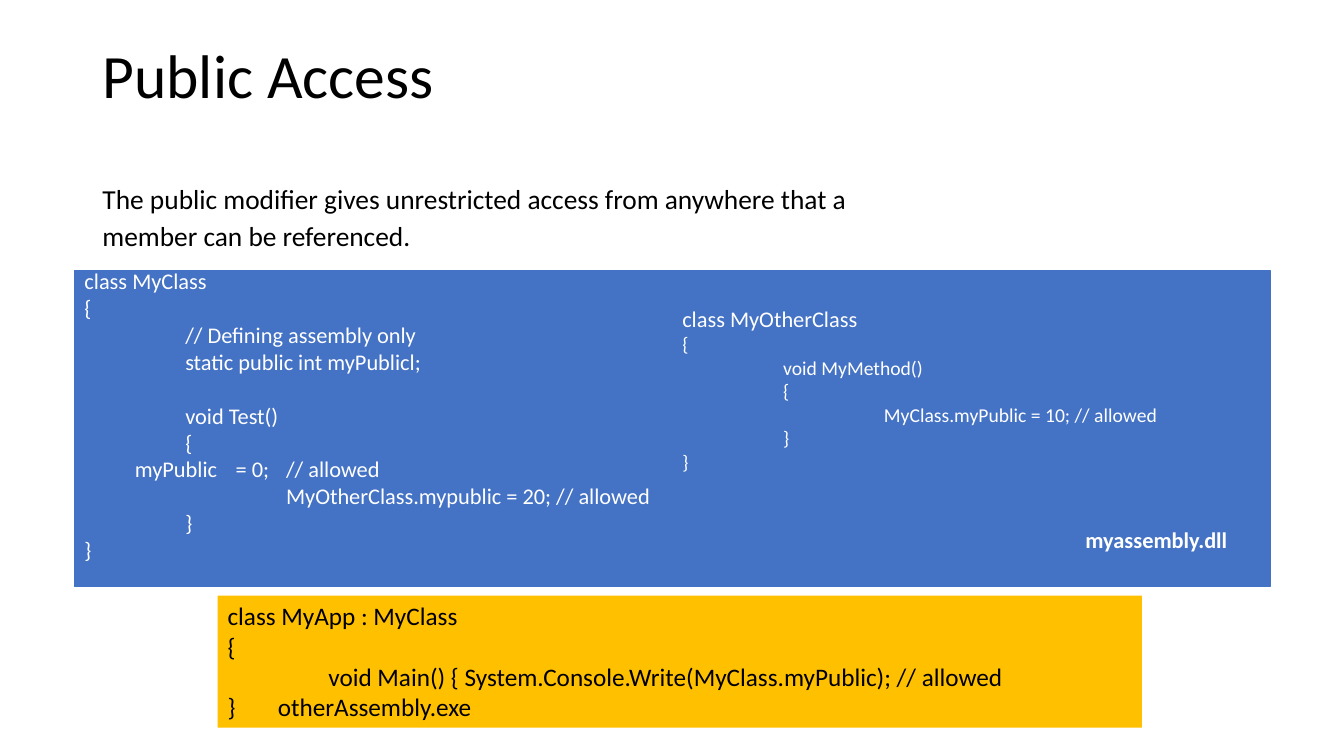
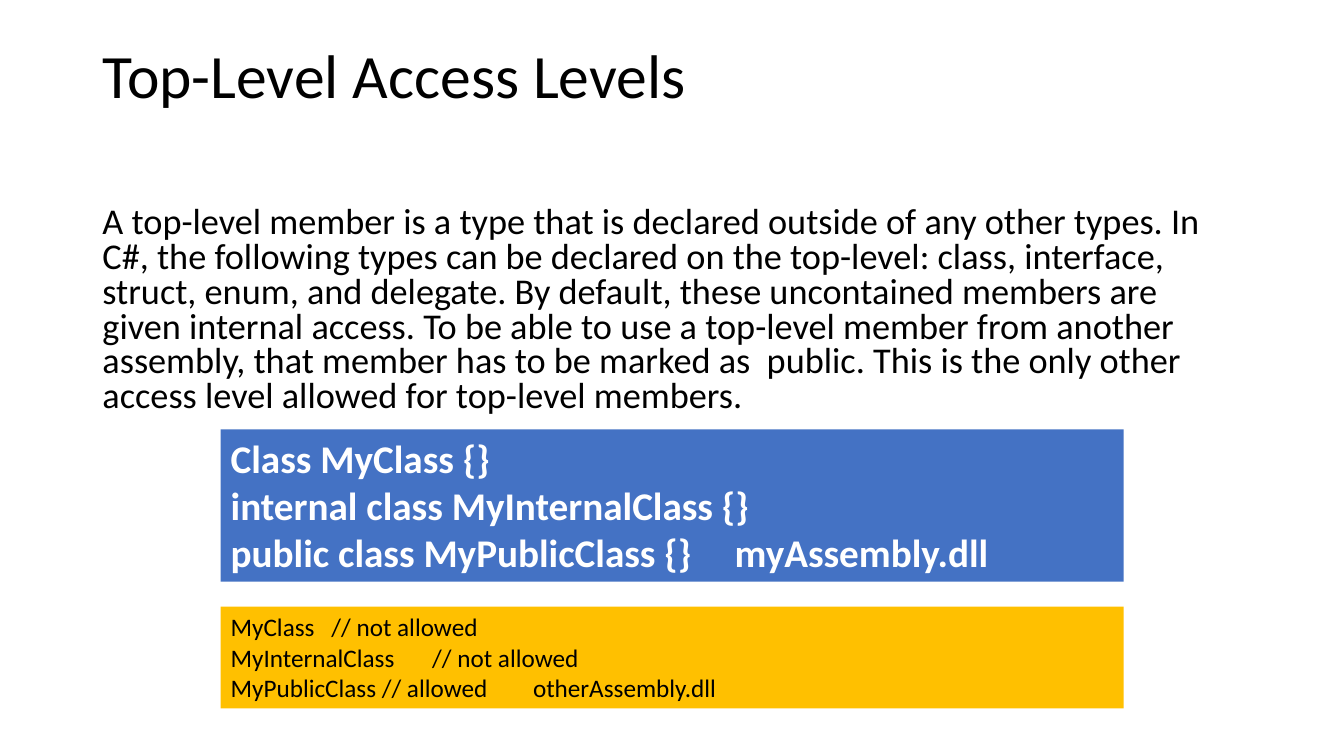
"""Build two slides on C# access levels."""
from dataclasses import dataclass

from lxml.etree import SubElement
from pptx import Presentation
from pptx.dml.color import RGBColor
from pptx.enum.shapes import MSO_SHAPE
from pptx.enum.text import MSO_ANCHOR, MSO_AUTO_SIZE, PP_ALIGN
from pptx.oxml.ns import qn
from pptx.slide import Slide
from pptx.text.text import TextFrame
from pptx.util import Pt

FONT = "Calibri"
BLACK = RGBColor(0x00, 0x00, 0x00)
WHITE = RGBColor(0xFF, 0xFF, 0xFF)
BLUE = RGBColor(0x44, 0x72, 0xC4)
GOLD = RGBColor(0xFF, 0xC0, 0x00)
SLIDE_WIDTH, SLIDE_HEIGHT = 960, 540
MARGIN, CONTENT_WIDTH = 66, 828
INDENT = 72


@dataclass(frozen=True)
class Line:
    """One paragraph of text; size and bold override the panel's values."""
    text: str
    level: int = 0
    before: float = 0
    size: float | None = None
    bold: bool | None = None
    stops: tuple[float, ...] = ()


@dataclass(frozen=True)
class Panel:
    """A filled box of source code."""
    left: float
    top: float
    width: float
    height: float
    fill: RGBColor
    color: RGBColor
    size: float
    lines: tuple[Line, ...]
    bold: bool = False
    outlined: bool = False
    anchor: MSO_ANCHOR = MSO_ANCHOR.TOP
    inset_top: float = 3.6
    inset_bottom: float = 3.6


@dataclass(frozen=True)
class Page:
    """The content of one slide."""
    title: str
    body: tuple[str, ...]
    body_top: float
    body_height: float
    body_size: float
    body_spacing: float
    panels: tuple[Panel, ...]


PUBLIC_ACCESS = Page(
    "Public Access",
    ("The public modifier gives unrestricted access from anywhere that a",
     "member can be referenced."),
    133.2, 52.6, 19.6, 0.7,
    (
        Panel(53.3, 193, 427, 226, BLUE, WHITE, 16, (
            Line("class MyClass"),
            Line("{"),
            Line("// Defining assembly only", 1),
            Line("static public int myPublicl;", 1),
            Line("void Test()", 1, before=19.3),
            Line("{", 1),
            Line("\tmyPublic\t= 0;\t// allowed", stops=(144, 216, 338.5)),
            Line("MyOtherClass.mypublic = 20; // allowed", 2),
            Line("}", 1),
            Line("}"),
        ), outlined=True, anchor=MSO_ANCHOR.MIDDLE, inset_top=0, inset_bottom=19),
        Panel(480.3, 193, 427, 226, BLUE, WHITE, 14, (
            Line("class MyOtherClass", size=16),
            Line("{"),
            Line("void MyMethod()", 1),
            Line("{", 1),
            Line("MyClass.myPublic = 10; // allowed", 2),
            Line("}", 1),
            Line("}"),
            Line("myassembly.dll", 4, before=38, size=16, bold=True),
        ), outlined=True, inset_top=25),
        Panel(155.5, 425.5, 660.2, 94.3, GOLD, BLACK, 18, (
            Line("class MyApp : MyClass"),
            Line("{"),
            Line("void Main() { System.Console.Write(MyClass.myPublic); // allowed", 1),
            Line("}\totherAssembly.exe", stops=(504,)),
        )),
    ),
)

TOP_LEVEL_ACCESS = Page(
    "Top-Level Access Levels",
    ("A top-level member is a type that is declared outside of any other types. "
     "In C#, the following types can be declared on the top-level: class, "
     "interface, struct, enum, and delegate. By default, these uncontained "
     "members are given internal access. To be able to use a top-level member "
     "from another assembly, that member has to be marked as  public. This is "
     "the only other access level allowed for top-level members.",),
    144, 162.7, 25.9, 0.8,
    (
        Panel(157.7, 306.7, 645, 108.7, BLUE, WHITE, 28, (
            Line("Class MyClass {}"),
            Line("internal class MyInternalClass {}"),
            Line("public class MyPublicClass {}\tmyAssembly.dll", stops=(432,)),
        ), bold=True),
        Panel(157.7, 433.4, 645, 72.7, GOLD, BLACK, 18, (
            Line("MyClass\t// not allowed", stops=(144,)),
            Line("MyInternalClass\t// not allowed", stops=(144,)),
            Line("MyPublicClass\t// allowed\totherAssembly.dll", stops=(144, 360)),
        )),
    ),
)


def write_text(frame: TextFrame, lines: tuple[Line, ...], *, size: float,
               color: RGBColor = BLACK, bold: bool = False, spacing: float = 1.0,
               anchor: MSO_ANCHOR = MSO_ANCHOR.TOP) -> None:
    """Fill a text frame with formatted, left-aligned, unbulleted lines."""
    frame.word_wrap = True
    frame.auto_size = MSO_AUTO_SIZE.NONE
    frame.vertical_anchor = anchor
    for index, line in enumerate(lines):
        paragraph = frame.add_paragraph() if index else frame.paragraphs[0]
        paragraph.alignment = PP_ALIGN.LEFT
        paragraph.line_spacing = spacing
        paragraph.space_before = Pt(line.before)
        properties = paragraph._p.get_or_add_pPr()
        properties.set("marL", str(Pt(line.level * INDENT)))
        properties.set("indent", "0")
        SubElement(properties, qn("a:buNone"))
        if line.stops:
            stop_list = SubElement(properties, qn("a:tabLst"))
            for stop in line.stops:
                SubElement(stop_list, qn("a:tab"), pos=str(Pt(stop)), algn="l")
        run = paragraph.add_run()
        run.text = line.text
        run.font.name = FONT
        run.font.size = Pt(line.size or size)
        run.font.bold = bold if line.bold is None else line.bold
        run.font.color.rgb = color


def draw_panel(slide: Slide, panel: Panel) -> None:
    """Draw one code panel."""
    box = slide.shapes.add_shape(MSO_SHAPE.RECTANGLE, Pt(panel.left), Pt(panel.top),
                                 Pt(panel.width), Pt(panel.height))
    box.shadow.inherit = False
    box.fill.solid()
    box.fill.fore_color.rgb = panel.fill
    if panel.outlined:
        box.line.color.rgb = panel.fill
        box.line.width = Pt(1)
    else:
        box.line.fill.background()
    box.text_frame.margin_top = Pt(panel.inset_top)
    box.text_frame.margin_bottom = Pt(panel.inset_bottom)
    write_text(box.text_frame, panel.lines, size=panel.size, color=panel.color,
               bold=panel.bold, anchor=panel.anchor)


def build_page(deck: Presentation, page: Page) -> None:
    """Add one slide with its title, body and code panels."""
    slide = deck.slides.add_slide(deck.slide_layouts[1])
    title, body = slide.placeholders
    for holder, top, height in ((title, 28.8, 104.4),
                                (body, page.body_top, page.body_height)):
        holder.left, holder.top = Pt(MARGIN), Pt(top)
        holder.width, holder.height = Pt(CONTENT_WIDTH), Pt(height)
    write_text(title.text_frame, (Line(page.title),), size=44, spacing=0.9)
    write_text(body.text_frame, tuple(Line(text, before=10) for text in page.body),
               size=page.body_size, spacing=page.body_spacing)
    for panel in page.panels:
        draw_panel(slide, panel)


def main() -> None:
    """Build and save the deck."""
    deck = Presentation()
    deck.slide_width, deck.slide_height = Pt(SLIDE_WIDTH), Pt(SLIDE_HEIGHT)
    for page in (PUBLIC_ACCESS, TOP_LEVEL_ACCESS):
        build_page(deck, page)
    deck.save("out.pptx")


if __name__ == "__main__":
    main()
